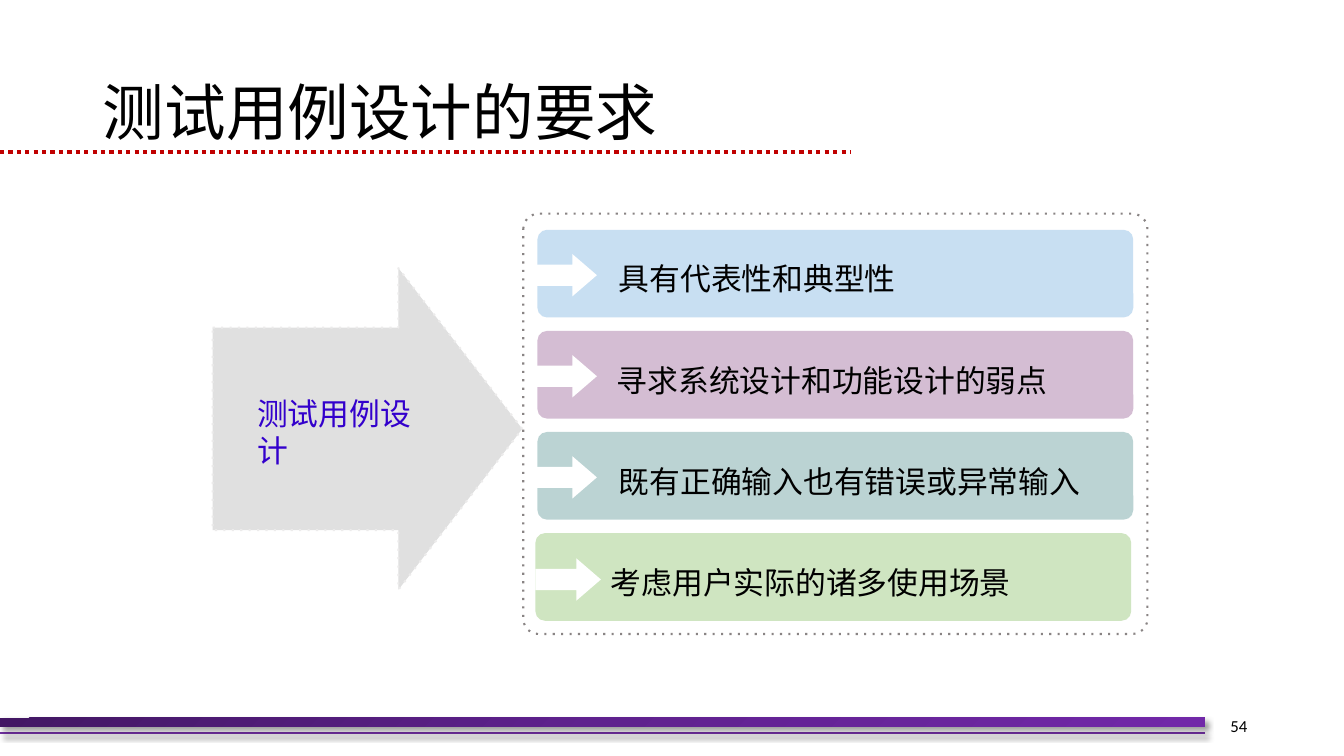
from copy import deepcopy
from lxml.etree import SubElement
from pptx import Presentation
from pptx.dml.color import RGBColor
from pptx.enum.dml import MSO_LINE as Dash
from pptx.enum.shapes import MSO_CONNECTOR as Link, MSO_SHAPE as Kind
from pptx.enum.text import MSO_ANCHOR as Anchor, MSO_AUTO_SIZE as Fit, PP_ALIGN as Align
from pptx.oxml.ns import qn
from pptx.util import Inches, Pt

BLACK = RGBColor(0, 0, 0)
WHITE = RGBColor(255, 255, 255)
INDIGO = RGBColor(0x33, 0, 0xCC)
SILVER = RGBColor(0xE0, 0xE0, 0xE0)
PALE = RGBColor(0xEC, 0xEB, 0xEB)
GREY = RGBColor(0x89, 0x84, 0x84)
RED = RGBColor(0xC0, 0, 0)
PURPLE = RGBColor(0x70, 0x30, 0xA0)
BLUE = RGBColor(0xC8, 0xDF, 0xF2)
MAUVE = RGBColor(0xAA, 0x7C, 0xA9)
TEAL = RGBColor(0x78, 0xA9, 0xA9)
GREEN = RGBColor(0xCF, 0xE5, 0xC1)
FADE = [RGBColor(0x43, 0x17, 0x64), RGBColor(0x5F, 0x21, 0x8E), RGBColor(0x71, 0x28, 0xA8)]
HAN = "Noto Sans CJK SC"

deck = Presentation()
deck.slide_width = Inches(13.33)
deck.slide_height = Inches(7.5)
CELL = deck.slide_height // 75
slide = deck.slides.add_slide(deck.slide_layouts[5])
shapes = slide.shapes


def write(shape, text, size=22, color=BLACK, font=HAN, align=Align.LEFT, left=1, top=0.5, lead=1.0):
    frame = shape.text_frame
    frame.word_wrap = True
    frame.auto_size = Fit.NONE
    frame.vertical_anchor = Anchor.MIDDLE
    frame.margin_left, frame.margin_top = int(left * CELL), int(top * CELL)
    frame.margin_right, frame.margin_bottom = CELL, 0
    para = frame.paragraphs[0]
    para.alignment = align
    para.line_spacing = lead
    run = para.add_run()
    run.text = text
    run.font.size = Pt(size)
    run.font.name = font
    run.font.color.rgb = color
    SubElement(run.font._element, qn("a:ea"), typeface=font)


def draw(kind, col, row, wide, tall, fill=None, line=None, bends=()):
    shape = shapes.add_shape(kind, *[int(n * CELL) for n in (col, row, wide, tall)])
    shape.shadow.inherit = False
    for i, bend in enumerate(bends):
        shape.adjustments[i] = bend
    if fill is None:
        shape.fill.background()
    else:
        shape.fill.solid()
        shape.fill.fore_color.rgb = fill
    if line is None:
        shape.line.fill.background()
    else:
        shape.line.color.rgb = line
        shape.line.width = Pt(1.5)
        shape.line.dash_style = Dash.ROUND_DOT
        shape._element.xpath(".//a:prstDash")[0].set("val", "dot")
    return shape


rules = []
for row, wide, color, thick in [(72.7, 119.5, PURPLE, 1.5), (15.1, 84.4, RED, 3)]:
    y = int(row * CELL)
    rule = shapes.add_connector(Link.STRAIGHT, 0, y, int(wide * CELL), y)
    rule.line.color.rgb = color
    rule.line.width = Pt(thick)
    SubElement(rule._element.spPr, qn("a:effectLst"))
    rules.append(rule)
rules[1].line.dash_style = Dash.ROUND_DOT
rules[1]._element.xpath(".//a:prstDash")[0].set("val", "sysDot")

band = draw(Kind.RECTANGLE, 0, 71.2, 119.5, 0.9)
band.fill.gradient()
band.fill.gradient_angle = 315
first = band._element.xpath(".//a:gs")[0]
first.addnext(deepcopy(first))
for i, stop in enumerate(band.fill.gradient_stops):
    stop.color.rgb = FADE[i]
    stop.position = i / 2

for part in (rules[0], band):
    glow = part._element.xpath("./p:spPr/a:effectLst")[0]
    shade = SubElement(glow, qn("a:outerShdw"), blurRad=str(Pt(4)), dist=str(Pt(3)),
                       dir="2700000", algn="tl", rotWithShape="0")
    tint = SubElement(shade, qn("a:srgbClr"), val="000000")
    SubElement(tint, qn("a:alpha"), val="40000")

arrow = draw(Kind.RIGHT_ARROW, 21.1, 26.6, 30.7, 31.9, SILVER, PALE, (0.63, 0.4))
write(arrow, "测试用例设计", color=INDIGO, left=4.4)
draw(Kind.ROUNDED_RECTANGLE, 51.9, 21.2, 61.9, 41.7, line=GREY, bends=(0.036,))

items = [
    ("具有代表性和典型性", BLUE, 53.3, 52.7, 2.4, 61.1, False),
    ("寻求系统设计和功能设计的弱点", MAUVE, 53.3, 52.7, 2.4, 60.9, True),
    ("既有正确输入也有错误或异常输入", TEAL, 53.3, 52.7, 2.4, 61.1, True),
    ("考虑用户实际的诸多使用场景", GREEN, 53.1, 53.1, 2.5, 60.3, False),
]
for i, (text, color, col, tip, drop, start, clear) in enumerate(items):
    row = 22.8 + 10.03 * i
    bar = draw(Kind.ROUNDED_RECTANGLE, col, row, 59.1, 8.7, color, bends=(0.11,))
    if clear:
        SubElement(bar._element.xpath("./p:spPr/a:solidFill/a:srgbClr")[0], qn("a:alpha"), val="50000")
    write(bar, text, left=start - col, top=1)
    draw(Kind.RIGHT_ARROW, tip, row + drop, 6.5, 4.2, WHITE, bends=(0.5, 0.58))

page = shapes.add_textbox(*[int(n * CELL) for n in (113.8, 69.8, 10.9, 4)])
write(page, "54", size=12, font="Calibri", align=Align.RIGHT)

title = shapes.title
title.left, title.top, title.width, title.height = [int(n * CELL) for n in (9.2, 4, 115, 14.5)]
write(title, "测试用例设计的要求", size=44, lead=0.9)

deck.save("out.pptx")
